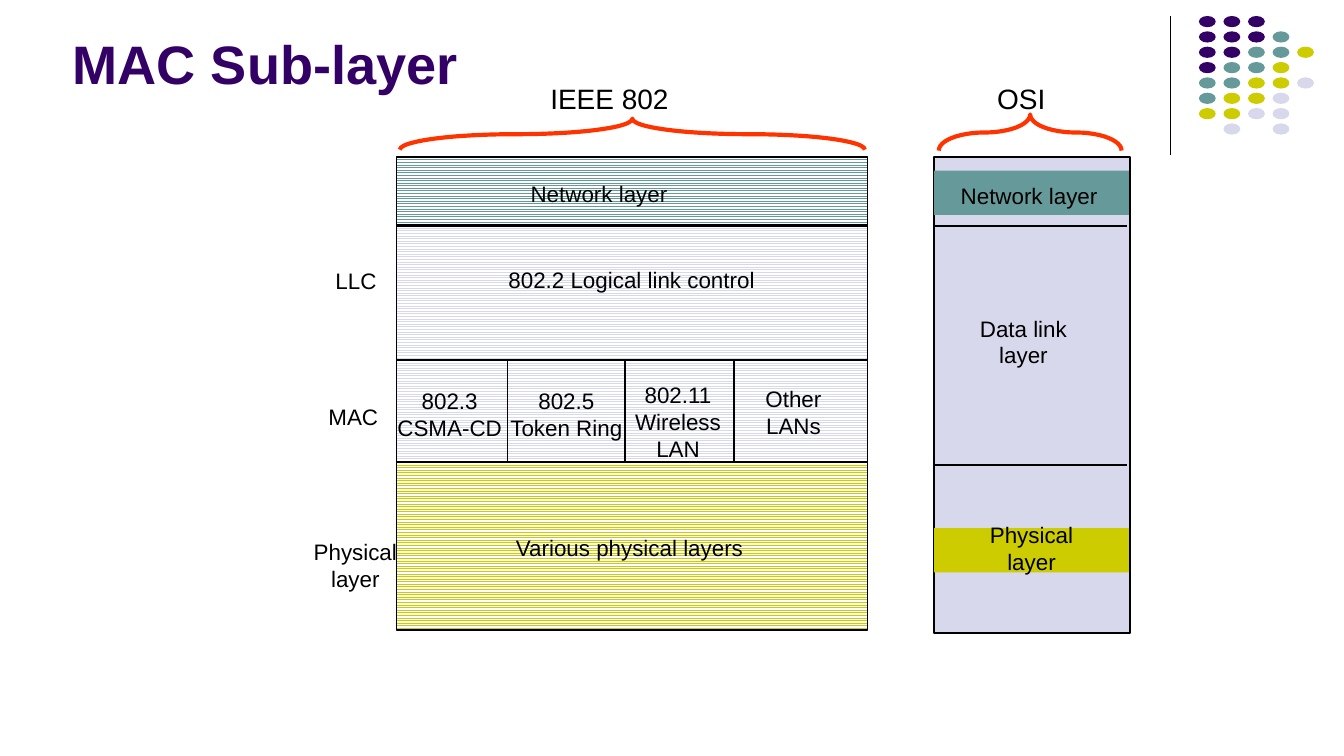
from collections import namedtuple
from dataclasses import dataclass

from lxml import etree
from pptx import Presentation
from pptx.dml.color import RGBColor
from pptx.enum.dml import MSO_PATTERN as Pattern
from pptx.enum.shapes import MSO_CONNECTOR as Connector, MSO_SHAPE as Preset
from pptx.enum.text import MSO_ANCHOR as Anchor, MSO_AUTO_SIZE as AutoSize, PP_ALIGN as Align
from pptx.oxml.ns import qn
from pptx.util import Pt

Box = namedtuple("Box", "left top width height")


@dataclass(frozen=True)
class Theme:
    font: str = "Arial"
    purple: str = "330066"
    teal: str = "669999"
    yellow: str = "CCCC00"
    lavender: str = "D8D8EC"
    red: str = "FF3300"
    black: str = "000000"
    white: str = "FFFFFF"
    title_size: float = 29
    heading_size: float = 15
    label_size: float = 12
    thin: float = 0.75
    line: float = 1
    brace: float = 2.25


THEME = Theme()


def color(value):
    return RGBColor.from_string(value)


def inside(box, left, top, width, height):
    """Box given relative to the top left corner of another box."""
    return Box(box.left + left, box.top + top, width, height)


def write_text(shape, text, size=THEME.label_size, ink=THEME.black, bold=False,
               align=Align.CENTER, anchor=Anchor.TOP, wrap=False, inset=(5, 3)):
    frame = shape.text_frame
    frame.auto_size = AutoSize.NONE
    frame.word_wrap = wrap
    frame.vertical_anchor = anchor
    frame.margin_left = frame.margin_right = Pt(inset[0])
    frame.margin_top = frame.margin_bottom = Pt(inset[1])
    for index, line in enumerate(text.split("\n")):
        paragraph = frame.add_paragraph() if index else frame.paragraphs[0]
        paragraph.alignment = align
        run = paragraph.add_run()
        run.text = line
        run.font.name = THEME.font
        run.font.size = Pt(size)
        run.font.bold = bold
        run.font.color.rgb = color(ink)


def add_label(slide, box, text, **text_format):
    shape = slide.shapes.add_textbox(*map(Pt, box))
    write_text(shape, text, **text_format)


def add_preset(slide, preset, box, fill=None, pattern=None, line=None, width=THEME.line):
    shape = slide.shapes.add_shape(preset, *map(Pt, box))
    shape.shadow.inherit = False
    if pattern is not None:
        shape.fill.patterned()
        shape.fill.pattern = pattern
        shape.fill.fore_color.rgb = color(fill)
        shape.fill.back_color.rgb = color(THEME.white)
    elif fill:
        shape.fill.solid()
        shape.fill.fore_color.rgb = color(fill)
    else:
        shape.fill.background()
    if line:
        shape.line.color.rgb = color(line)
        shape.line.width = Pt(width)
    else:
        shape.line.fill.background()
    return shape


def add_line(slide, left, top, right, bottom, width=THEME.line):
    line = slide.shapes.add_connector(Connector.STRAIGHT, *map(Pt, (left, top, right, bottom)))
    line.line.color.rgb = color(THEME.black)
    line.line.width = Pt(width)
    etree.SubElement(line._element.spPr, qn("a:effectLst"))


def add_top_brace(slide, box, curl):
    """Brace that spans the box and points up: a left brace turned by 90 degrees."""
    middle, center = box.left + box.width / 2, box.top + box.height / 2
    upright = Box(middle - box.height / 2, center - box.width / 2, box.height, box.width)
    brace = add_preset(slide, Preset.LEFT_BRACE, upright, line=THEME.red, width=THEME.brace)
    brace.rotation = 90
    brace.adjustments[0] = curl


def build_corner(slide, box):
    """Rule and grid of dots in the top right corner."""
    add_line(slide, box.left, box.top, box.left, box.top + box.height, THEME.thin)
    inks = {"P": THEME.purple, "T": THEME.teal, "Y": THEME.yellow, "L": THEME.lavender}
    rows = ("PPP", "PPPT", "PPTTY", "PTTY", "TTYYL", "TYYL", "YYLL", " L L")
    for row, letters in enumerate(rows):
        for column, letter in enumerate(letters):
            if letter in inks:
                dot = inside(box, 15.2 + 13.15 * column, 8.22 * row, 9, 6)
                add_preset(slide, Preset.OVAL, dot, fill=inks[letter])


def build_title(slide, box, text):
    title = slide.shapes.title
    title.left, title.top, title.width, title.height = map(Pt, box)
    write_text(title, text, size=THEME.title_size, ink=THEME.purple, bold=True,
               align=Align.LEFT, anchor=Anchor.BOTTOM, wrap=True, inset=(7.2, 3.6))


def build_ieee(slide, box):
    """IEEE 802 stack with its side labels."""
    # Layers, each one overlapping the foot of the layer before
    mac_top, physical_top = 108.8, 163.5
    layers = (
        (mac_top, 72, THEME.lavender, Pattern.LIGHT_HORIZONTAL),
        (36.7, 72, THEME.lavender, Pattern.NARROW_HORIZONTAL),
        (physical_top, 90, THEME.yellow, Pattern.NARROW_HORIZONTAL),
        (0, 36.4, THEME.teal, Pattern.NARROW_HORIZONTAL),
    )
    for top, height, fill, pattern in layers:
        add_preset(slide, Preset.RECTANGLE, inside(box, 0, top, box.width, height),
                   fill=fill, pattern=pattern, line=THEME.black)

    # Dividers between the MAC standards
    for offset in (59.5, 122.4, 180.7):
        add_line(slide, box.left + offset, box.top + mac_top,
                 box.left + offset, box.top + physical_top)

    # Names of the layers, the standards and the sides
    labels = (
        ((-5, 120.3, 67, 34.5), "802.3\nCSMA-CD"),
        ((55.4, 120.3, 71.3, 34.5), "802.5\nToken Ring"),
        ((122.4, 117.2, 56.9, 49), "802.11\nWireless\nLAN"),
        ((192.2, 119.2, 41, 34.5), "Other\nLANs"),
        ((52.6, 55.3, 146.9, 20.2), "802.2 Logical link control"),
        ((58.3, 198.8, 133.2, 20.2), "Various physical layers"),
        ((-38.2, 56, 33.1, 20.2), "LLC"),
        ((-41.8, 128.8, 37.4, 20.2), "MAC"),
        ((-49.7, 200.9, 55.4, 34.5), "Physical\nlayer"),
    )
    for place, text in labels:
        add_label(slide, inside(box, *place), text)
    add_label(slide, inside(box, 64.8, 8.7, 108, 21.6), "Network layer",
              align=Align.LEFT, wrap=True, inset=(7.2, 3.6))

    # Heading
    add_top_brace(slide, inside(box, 1.8, -20.6, 249.1, 16.6), 3.73)
    add_label(slide, inside(box, 69.1, -43.9, 90, 25.2), "IEEE 802",
              size=THEME.heading_size, wrap=True, inset=(7.2, 3.6))


def build_osi(slide, box):
    """OSI column."""
    add_preset(slide, Preset.RECTANGLE, box, fill=THEME.lavender, line=THEME.black)

    # Bands and dividers
    for top, fill in ((7.2, THEME.teal), (198.7, THEME.yellow)):
        add_preset(slide, Preset.RECTANGLE, inside(box, 0, top, box.width - 0.7, 23.8), fill=fill)
    for offset in (36.7, 164.9):
        add_line(slide, box.left, box.top + offset, box.left + 103.3, box.top + offset)

    # Names of the layers
    add_label(slide, inside(box, 7.2, 10.1, 108, 21.6), "Network layer",
              align=Align.LEFT, wrap=True, inset=(7.2, 3.6))
    for left, top, text in ((17.3, 81.4, "Data link\nlayer"), (21.6, 192.2, "Physical\nlayer")):
        add_label(slide, inside(box, left, top, 61.2, 34.5), text, wrap=True)

    # Heading
    add_top_brace(slide, inside(box, 2.5, -22.9, 97.9, 19.4), 1.26)
    add_label(slide, inside(box, 19.4, -43.9, 54.7, 25.2), "OSI",
              size=THEME.heading_size, wrap=True, inset=(7.2, 3.6))


def main():
    presentation = Presentation()
    presentation.slide_width, presentation.slide_height = Pt(720), Pt(405)
    slide = presentation.slides.add_slide(presentation.slide_layouts[5])
    build_corner(slide, Box(627.1, 8.6, 85, 74.2))
    build_title(slide, Box(31.7, 19.4, 231.1, 35.3), "MAC Sub-layer")
    build_ieee(slide, Box(212.4, 84.2, 252.4, 253.5))
    build_osi(slide, Box(500.4, 84.2, 105.1, 254.9))
    presentation.save("out.pptx")


if __name__ == "__main__":
    main()
